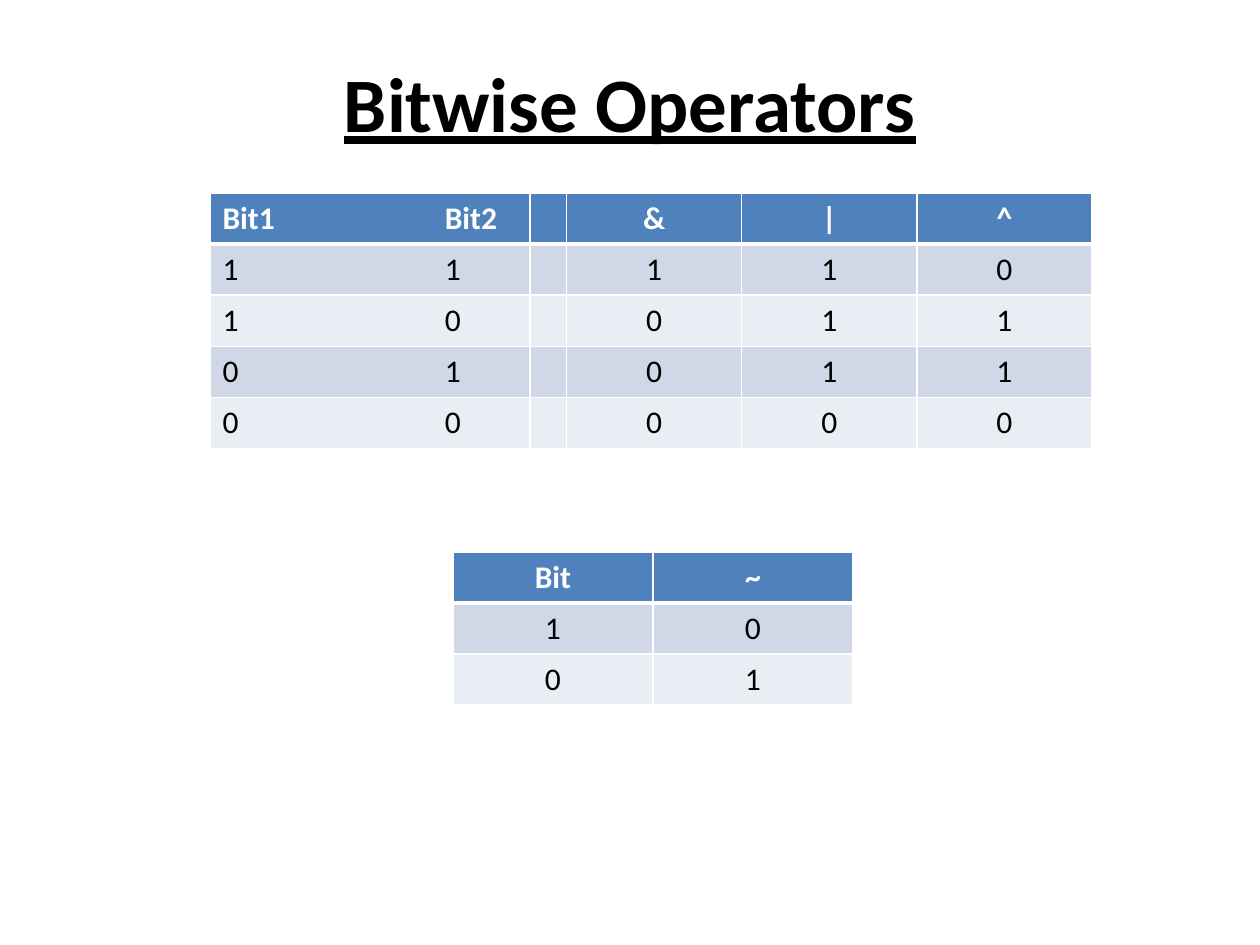
from lxml.etree import SubElement
from pptx import Presentation
from pptx.dml.color import RGBColor
from pptx.enum.text import MSO_ANCHOR, PP_ALIGN
from pptx.oxml.ns import qn
from pptx.util import Pt

TITLE = "Bitwise Operators"
PAIRS = [
    ("Bit1\tBit2", "", "&", "|", "^"),
    ("1\t1", "", "1", "1", "0"),
    ("1\t0", "", "0", "1", "1"),
    ("0\t1", "", "0", "1", "1"),
    ("0\t0", "", "0", "0", "0"),
]
SINGLE = [("Bit", "~"), ("1", "0"), ("0", "1")]

FONT = "Calibri"
HEAD, BANDS = "4F81BD", ("E9EDF4", "D0D8E8")
WHITE, BLACK = "FFFFFF", "000000"
ROW = 29.2
TAB = 127


def color(code):
    return RGBColor.from_string(code)


def style(para, size, code, bold):
    for run in para.runs:
        font = run.font
        font.name, font.size, font.bold = FONT, Pt(size), bold
        font.color.rgb = color(code)


def add_tab(para, pos):
    tabs = SubElement(para._p.get_or_add_pPr(), qn("a:tabLst"))
    SubElement(tabs, qn("a:tab"), pos=str(Pt(pos)), algn="l")


def edge(cell, top, bottom):
    """Draw white cell borders, 1 pt at the sides."""
    props = cell._tc.get_or_add_tcPr()
    for side, width in (("L", 1), ("R", 1), ("T", top), ("B", bottom)):
        line = SubElement(props, qn(f"a:ln{side}"), w=str(Pt(width)))
        fill = SubElement(line, qn("a:solidFill"))
        SubElement(fill, qn("a:srgbClr"), val=WHITE)


def add_grid(slide, rows, left, top, widths):
    frame = slide.shapes.add_table(
        len(rows), len(widths), Pt(left), Pt(top),
        Pt(sum(widths)), Pt(ROW * len(rows)))
    table = frame.table
    for col, width in zip(table.columns, widths):
        col.width = Pt(width)
    for r, row in enumerate(rows):
        table.rows[r].height = Pt(ROW)
        head = r == 0
        for c, text in enumerate(row):
            cell = table.cell(r, c)
            edge(cell, 3 if r == 1 else 1, 3 if head else 1)
            cell.fill.solid()
            cell.fill.fore_color.rgb = color(HEAD if head else BANDS[r % 2])
            para = cell.text_frame.paragraphs[0]
            para.text = text
            if "\t" in text:
                add_tab(para, TAB)
            else:
                para.alignment = PP_ALIGN.CENTER
            style(para, 18, WHITE if head else BLACK, head)


def add_title(slide):
    box = slide.shapes.add_textbox(Pt(54), Pt(0), Pt(612), Pt(116))
    frame = box.text_frame
    frame.word_wrap = True
    frame.vertical_anchor = MSO_ANCHOR.MIDDLE
    frame.text = TITLE
    para = frame.paragraphs[0]
    para.alignment = PP_ALIGN.CENTER
    style(para, 44, BLACK, True)
    para.runs[0].font.underline = True


def main():
    deck = Presentation()
    deck.slide_width, deck.slide_height = Pt(720), Pt(540)
    slide = deck.slides.add_slide(deck.slide_layouts[6])
    add_title(slide)
    add_grid(slide, PAIRS, 120, 110.3, [182.8, 21] + [100.1] * 3)
    add_grid(slide, SINGLE, 258.8, 315.3, [114.3] * 2)
    deck.save("out.pptx")


if __name__ == "__main__":
    main()
